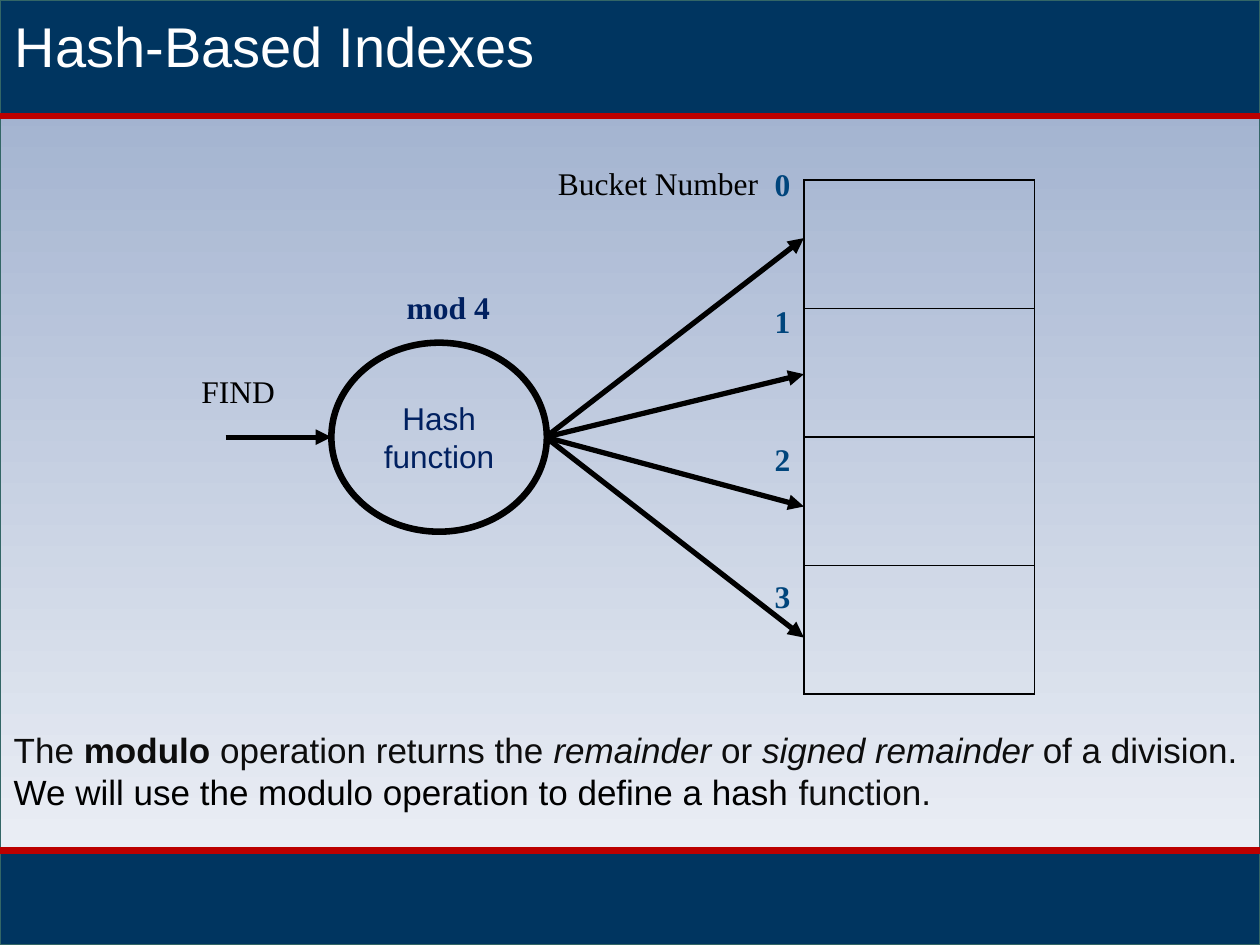
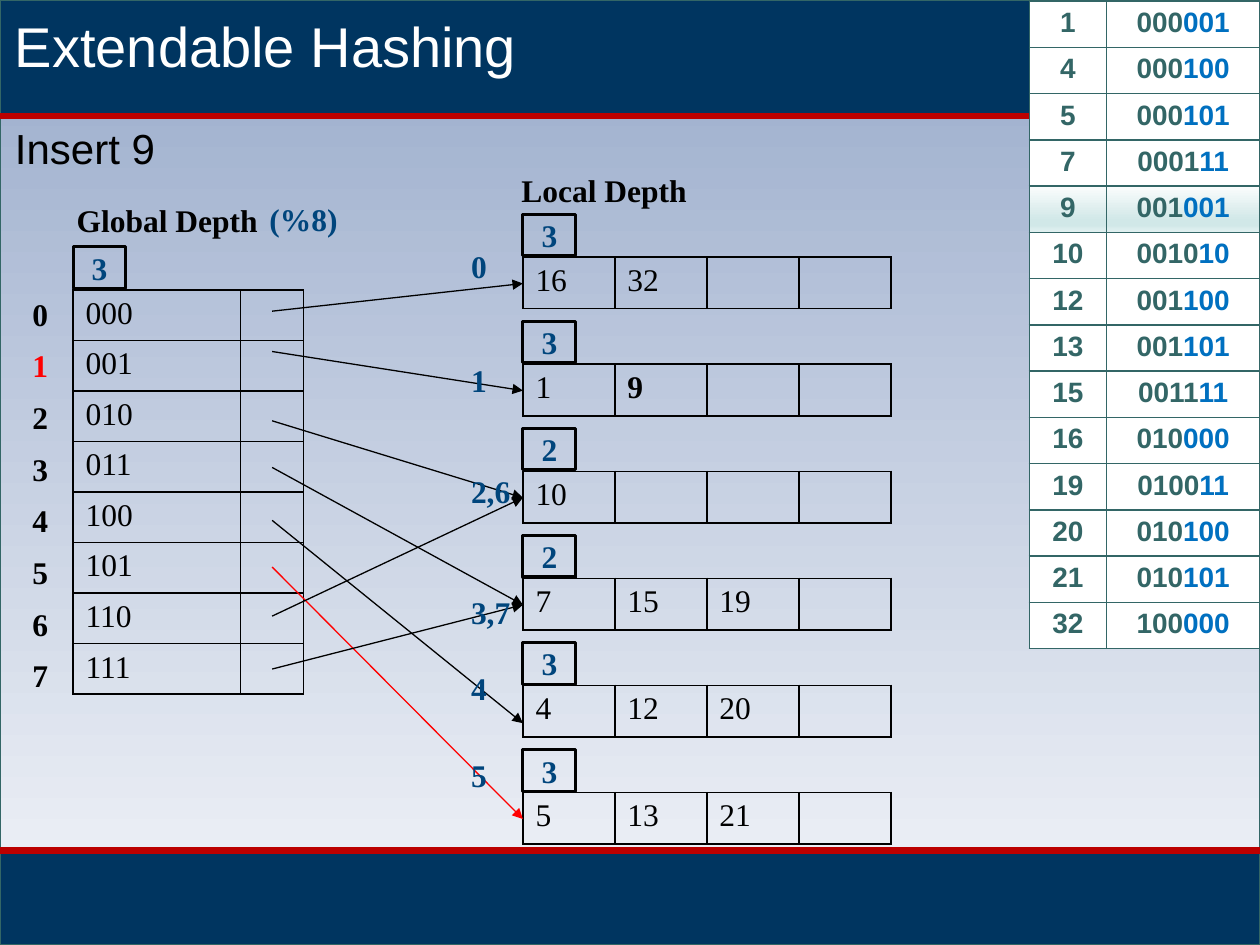
"""Build two slides on hash-based indexes and extendable hashing."""
from dataclasses import dataclass

from lxml import etree
from pptx import Presentation
from pptx.dml.color import RGBColor
from pptx.enum import shapes, text
from pptx.oxml.ns import qn
from pptx.util import Inches, Pt


@dataclass(frozen=True)
class Theme:
    """Colours, fonts and type sizes."""
    navy: str = "003560"
    red_rule: str = "BC0000"
    teal: str = "336666"
    ink: str = "000000"
    soft_ink: str = "0D0D0D"
    white: str = "FFFFFF"
    deep_blue: str = "002060"
    label_blue: str = "00457C"
    bit_blue: str = "0070C0"
    alert: str = "FF0000"
    backdrop: tuple = ((0, "99ABCB"), (100, "F3F5F9"))
    highlight: tuple = ((0, "FAFCFC"), (74, "D1E8E8"), (83, "D1E8E8"), (100, "E0F0F0"))
    sans: str = "Arial"
    serif: str = "Times New Roman"
    title: int = 32
    subtitle: int = 24
    note: int = 20
    body: int = 18
    small: int = 16


T = Theme()

MODULO_NOTE = [
    ("The ", {}), ("modulo", {"bold": True}), (" operation returns the ", {}),
    ("remainder", {"italic": True}), (" or ", {}), ("signed remainder", {"italic": True}),
    (" of a division. ", {}),
    ("We will use the modulo operation to define a hash ", {"color": T.ink}),
    ("function.", {}),
]
BUCKET_NUMBERS = ["0", "1", "2", "3"]
BUCKET_ARROW_ENDS = [1.89, 2.97, 4.02, 5.06]

KEY_BITS = [
    ("1", "000", "001"), ("4", "000", "100"), ("5", "000", "101"), ("7", "0001", "11"),
    ("9", "001", "001"), ("10", "0010", "10"), ("12", "001", "100"), ("13", "001", "101"),
    ("15", "0011", "11"), ("16", "010", "000"), ("19", "0100", "11"), ("20", "010", "100"),
    ("21", "010", "101"), ("32", "100", "000"),
]
INSERTED_KEY = "9"
# Directory entries: bits, bucket index, arrow start height, colours of index and arrow.
DIRECTORY = [
    ("000", 0, 2.47, T.ink, T.ink), ("001", 1, 2.79, T.alert, T.ink),
    ("010", 2, 3.34, T.ink, T.ink), ("011", 3, 3.71, T.ink, T.ink),
    ("100", 4, 4.13, T.ink, T.ink), ("101", 5, 4.5, T.ink, T.alert),
    ("110", 2, 4.89, T.ink, T.ink), ("111", 3, 5.31, T.ink, T.ink),
]
# Buckets: label, label height, local depth, keys, arrow landing below the bucket top.
BUCKETS = [
    ("0", 1.91, "3", ["16", "32", "", ""], 0.21), ("1", 2.82, "3", ["1", "9", "", ""], 0.21),
    ("2,6", 3.7, "2", ["10", "", "", ""], 0.21), ("3,7", 4.66, "2", ["7", "15", "19", ""], 0.21),
    ("4", 5.26, "3", ["4", "12", "20", ""], 0.3), ("5", 5.95, "3", ["5", "13", "21", ""], 0.21),
]


def rgb(color):
    return RGBColor.from_string(color)


def write(tf, content, font=T.serif, size=T.body, color=T.ink, bold=False,
          italic=False, align=text.PP_ALIGN.LEFT):
    p = tf.paragraphs[0]
    p.alignment = align
    runs = [(content, {})] if isinstance(content, str) else content
    for words, changes in runs:
        style = {"color": color, "bold": bold, "italic": italic, **changes}
        r = p.add_run()
        r.text = words
        r.font.name, r.font.size = font, Pt(size)
        r.font.bold, r.font.italic = style["bold"], style["italic"]
        r.font.color.rgb = rgb(style["color"])


def add_text(s, content, box, wrap=True, **style):
    tf = s.shapes.add_textbox(*map(Inches, box)).text_frame
    tf.word_wrap = wrap
    write(tf, content, **style)


def add_label(s, content, x, y, width=None, **style):
    width = width or 0.23 + 0.1 * len(content)
    add_text(s, content, (x, y, width, 0.4), wrap=False, **style)


def set_gradient(fill, element, stops):
    fill.gradient()
    fill.gradient_angle = 270
    stop_list = element.find(".//" + qn("a:gsLst"))
    for old in list(stop_list):
        stop_list.remove(old)
    for position, color in stops:
        stop = etree.SubElement(stop_list, qn("a:gs"), pos=str(position * 1000))
        etree.SubElement(stop, qn("a:srgbClr"), val=color)


def add_box(s, box, kind=shapes.MSO_SHAPE.RECTANGLE, fill=None, line=T.ink, weight=1.75):
    sp = s.shapes.add_shape(kind, *map(Inches, box))
    sp.shadow.inherit = False
    if fill is None:
        sp.fill.background()
    elif isinstance(fill, str):
        sp.fill.solid()
        sp.fill.fore_color.rgb = rgb(fill)
    else:
        set_gradient(sp.fill, sp._element, fill)
    sp.line.color.rgb = rgb(line)
    sp.line.width = Pt(weight)
    return sp


def add_line(s, start, end, color=T.ink, weight=0.75, arrow=True):
    cx = s.shapes.add_connector(shapes.MSO_CONNECTOR.STRAIGHT, *map(Inches, start + end))
    cx.line.color.rgb = rgb(color)
    cx.line.width = Pt(weight)
    if arrow:
        etree.SubElement(cx.line._get_or_add_ln(), qn("a:tailEnd"), type="triangle")
    etree.SubElement(cx._element.spPr, qn("a:effectLst"))


def add_grid(s, rows, box, widths, border=T.ink, fills=None, **style):
    frame = s.shapes.add_table(len(rows), len(widths), *map(Inches, box))
    table = frame.table
    table.first_row = table.horz_banding = False
    for column, width in zip(table.columns, widths):
        column.width = Inches(width)
    for i, row in enumerate(rows):
        for j, content in enumerate(row):
            cell = table.cell(i, j)
            if content:
                write(cell.text_frame, content, **style)
            else:
                cell.margin_top = cell.margin_bottom = 0
            tcPr = cell._tc.get_or_add_tcPr()
            for side in ("lnL", "lnR", "lnT", "lnB"):
                ln = etree.SubElement(tcPr, qn("a:" + side), w=str(Pt(1)))
                solid = etree.SubElement(ln, qn("a:solidFill"))
                etree.SubElement(solid, qn("a:srgbClr"), val=border)
            fill = fills[i] if fills else None
            if fill is None:
                cell.fill.background()
            elif isinstance(fill, str):
                cell.fill.solid()
                cell.fill.fore_color.rgb = rgb(fill)
            else:
                set_gradient(cell.fill, cell._tc, fill)


def add_base(prs, title):
    s = prs.slides.add_slide(prs.slide_layouts[6])
    for box, fill in [((0, 0, 10, 7.5), T.backdrop), ((0, 6.75, 10, 0.75), T.navy),
                      ((0, 0, 10, 0.92), T.navy)]:
        add_box(s, box, fill=fill, line=T.teal, weight=0.75)
    for y in (0.92, 6.75):
        add_line(s, (0, y), (10, y), T.red_rule, 3.75, arrow=False)
    add_text(s, title, (0.02, 0.04, 9.98, 0.64), font=T.sans, size=T.title, color=T.white)
    return s


def add_hash_slide(prs):
    s = add_base(prs, "Hash-Based Indexes")
    node = add_box(s, (2.63, 2.72, 1.71, 1.5), shapes.MSO_SHAPE.OVAL, weight=3.75)
    node.text_frame.word_wrap = True
    write(node.text_frame, "Hash function", font=T.sans, color=T.deep_blue,
          align=text.PP_ALIGN.CENTER)
    add_label(s, "FIND", 1.5, 2.9, 0.79)
    add_label(s, "mod 4", 3.13, 2.24, 0.87, color=T.deep_blue, bold=True)
    add_label(s, "Bucket Number", 4.33, 1.25, 1.81)
    add_line(s, (1.79, 3.47), (2.63, 3.47), weight=3)
    add_grid(s, [[""] for _ in BUCKET_NUMBERS], (6.38, 1.43, 1.83, 4.08), [1.83])
    for i, (number, end) in enumerate(zip(BUCKET_NUMBERS, BUCKET_ARROW_ENDS)):
        add_line(s, (4.33, 3.47), (6.38, end), weight=3)
        add_label(s, number, 6.05, 1.26 + 1.09 * i, color=T.label_blue, bold=True)
    add_text(s, MODULO_NOTE, (0.01, 5.73, 9.98, 0.77), font=T.sans, size=T.note,
             color=T.soft_ink)


def add_depth(s, depth, x, y):
    box = add_box(s, (x, y, 0.42, 0.33))
    write(box.text_frame, depth, color=T.label_blue, bold=True, align=text.PP_ALIGN.CENTER)


def add_extendable_slide(prs):
    s = add_base(prs, "Extendable Hashing")
    add_text(s, "Insert 9", (0.02, 0.92, 1.58, 0.5), font=T.sans, size=T.subtitle)
    key_rows = [[key, [(head, {}), (tail, {"color": T.bit_blue})]]
                for key, head, tail in KEY_BITS]
    key_fills = [T.highlight if key == INSERTED_KEY else T.white for key, _, _ in KEY_BITS]
    add_grid(s, key_rows, (8.17, 0.01, 1.83, 5.13), [0.61, 1.22], border=T.teal,
             fills=key_fills, font=T.sans, size=T.small, color=T.teal, bold=True,
             align=text.PP_ALIGN.CENTER)

    add_label(s, "Global Depth", 0.51, 1.55, 1.65, bold=True)
    add_label(s, "(%8)", 2.04, 1.54, 0.75, color=T.label_blue, bold=True)
    add_label(s, "Local Depth", 4.04, 1.31, 1.53, bold=True)
    add_depth(s, "3", 0.58, 1.96)
    add_grid(s, [[entry[0], ""] for entry in DIRECTORY], (0.58, 2.3, 1.83, 3.21), [1.33, 0.5])

    left, tops = 4.15, [2.04 + 0.85 * i for i in range(len(BUCKETS))]
    for top, (_, _, depth, keys, _) in zip(tops, BUCKETS):
        row = [[(key, {"bold": key == INSERTED_KEY})] if key else "" for key in keys]
        add_grid(s, [row], (left, top, 2.92, 0.41), [0.73] * 4)
        add_depth(s, depth, left, top - 0.34)
    for i, (_, bucket, start, index_color, arrow_color) in enumerate(DIRECTORY):
        add_label(s, str(i), 0.16, 2.29 + 0.41 * i, color=index_color, bold=True)
        add_line(s, (2.16, start), (left, tops[bucket] + BUCKETS[bucket][-1]), arrow_color)
    for label, y, *_ in BUCKETS:
        add_label(s, label, 3.64, y, color=T.label_blue, bold=True)


def main():
    prs = Presentation()
    prs.slide_width, prs.slide_height = Inches(10), Inches(7.5)
    add_hash_slide(prs)
    add_extendable_slide(prs)
    prs.save("out.pptx")


if __name__ == "__main__":
    main()
